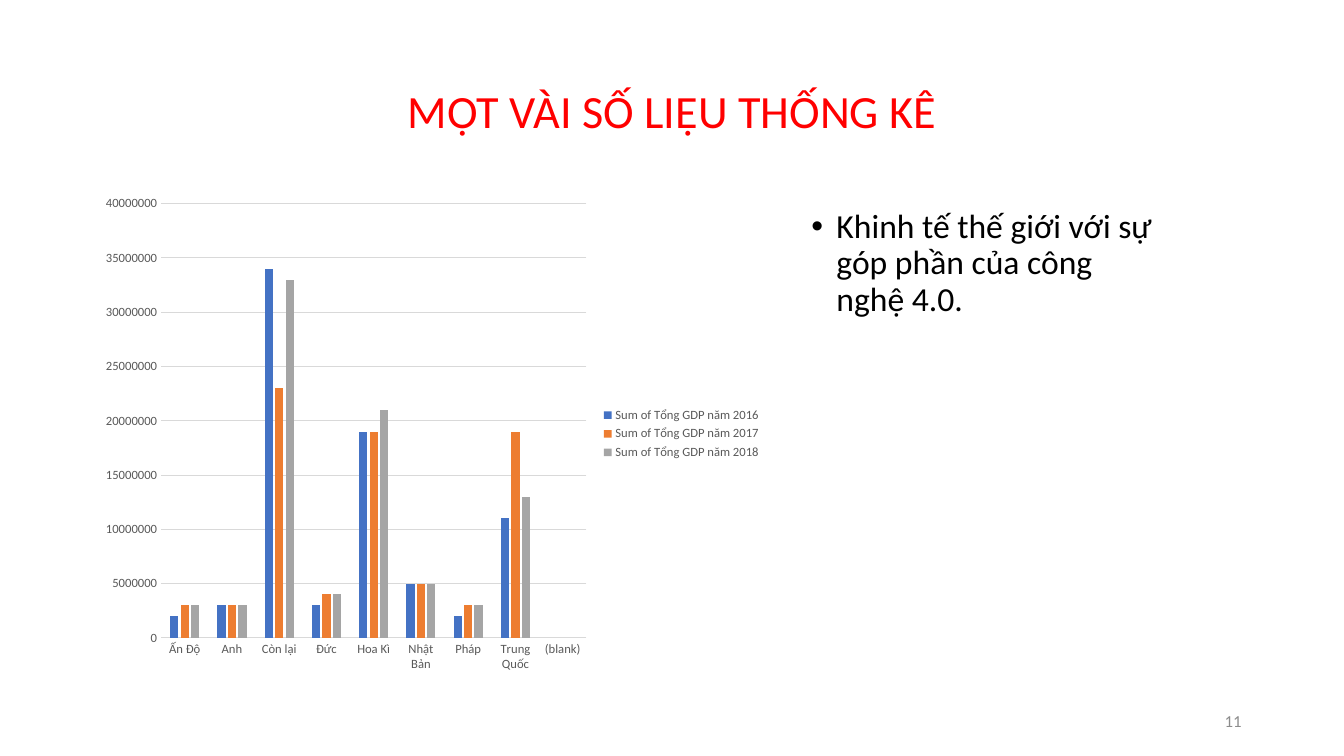
from lxml.etree import SubElement
from pptx import Presentation
from pptx.chart.data import CategoryChartData
from pptx.dml.color import RGBColor
from pptx.enum.chart import XL_CHART_TYPE as ChartType, XL_LEGEND_POSITION as LegendPosition
from pptx.enum.chart import XL_TICK_MARK as TickMark
from pptx.enum.text import MSO_ANCHOR as Anchor, PP_ALIGN as Align
from pptx.oxml.ns import qn
from pptx.util import Inches, Pt

COUNTRIES = ["Ấn Độ", "Anh", "Còn lại", "Đức", "Hoa Kì", "Nhật Bản", "Pháp",
             "Trung Quốc", "(blank)"]
# GDP by year, in millions: bar colour, then one value per country
GDP = {
    2016: ("4472C4", [2, 3, 34, 3, 19, 5, 2, 11, None]),
    2017: ("ED7D31", [3, 3, 23, 4, 19, 5, 3, 19, None]),
    2018: ("A5A5A5", [3, 3, 33, 4, 21, 5, 3, 13, None]),
}


def color(code):
    return RGBColor.from_string(code)


class Page:
    """One slide on a grid of 160 columns by 90 rows."""
    FONT, GREY, LINE = "Calibri", "595959", "D9D9D9"

    def __init__(self, deck):
        self.column = deck.slide_width / 160
        self.row = deck.slide_height / 90
        self.slide = deck.slides.add_slide(deck.slide_layouts[6])

    def place(self, left, top, width, height):
        return [round(left * self.column), round(top * self.row),
                round(width * self.column), round(height * self.row)]

    def style(self, font, size, code):
        font.name, font.size = self.FONT, Pt(size)
        font.color.rgb = color(code)

    def text(self, area, words, size, code, align=Align.LEFT, anchor=Anchor.MIDDLE):
        frame = self.slide.shapes.add_textbox(*self.place(*area)).text_frame
        frame.word_wrap, frame.vertical_anchor = True, anchor
        para = frame.paragraphs[0]
        para.text, para.alignment = words, align
        self.style(para.font, size, code)
        return para

    def bullet(self, area, words, size, code):
        para = self.text(area, words, size, code, anchor=Anchor.TOP)
        para.line_spacing, para.space_before = 0.9, Pt(10)
        props = para._p.get_or_add_pPr()
        props.set("marL", str(Inches(0.25)))
        props.set("indent", str(Inches(-0.25)))
        for tag, key, value in (("a:buFont", "typeface", "Arial"), ("a:buChar", "char", "•")):
            mark = SubElement(props, qn(tag))
            mark.set(key, value)
            props.insert_element_before(mark, "a:defRPr")

    def line(self, line_format):
        line_format.color.rgb = color(self.LINE)
        line_format.width = Pt(0.75)

    def columns(self, area, categories, series):
        data = CategoryChartData()
        data.categories = categories
        for year, (_, values) in series.items():
            data.add_series(f"Sum of Tổng GDP năm {year}",
                            [value and value * 1000000 for value in values])
        chart = self.slide.shapes.add_chart(
            ChartType.COLUMN_CLUSTERED, *self.place(*area), data).chart
        chart.has_title = False
        self.style(chart.font, 10, "000000")

        # Bars
        plot = chart.plots[0]
        plot.gap_width, plot.overlap, plot.vary_by_categories = 219, -27, False
        for bars, (code, _) in zip(plot.series, series.values()):
            bars.format.fill.solid()
            bars.format.fill.fore_color.rgb = color(code)

        # Axes and gridlines
        for axis in (chart.category_axis, chart.value_axis):
            axis.major_tick_mark = axis.minor_tick_mark = TickMark.NONE
            self.style(axis.tick_labels.font, 9, self.GREY)
        self.line(chart.category_axis.format.line)
        scale = chart.value_axis
        scale.minimum_scale, scale.maximum_scale, scale.major_unit = 0, 40000000, 5000000
        scale.format.line.fill.background()
        self.line(scale.major_gridlines.format.line)
        scale.tick_labels.number_format = "General"
        scale.tick_labels.number_format_is_linked = False

        # Legend
        chart.has_legend = True
        chart.legend.position = LegendPosition.RIGHT
        chart.legend.include_in_layout = False
        self.style(chart.legend.font, 9, self.GREY)


def main():
    deck = Presentation()
    deck.slide_width, deck.slide_height = Inches(13.33), Inches(7.5)
    page = Page(deck)

    # Title
    title = page.text((11, 4.8, 138, 17.4), "MỘT VÀI SỐ LIỆU THỐNG KÊ", 33, "FF0000",
                      Align.CENTER)
    title.line_spacing = 0.9

    # Chart and remark
    page.columns((11, 22.2, 80.8, 58.9), COUNTRIES, GDP)
    page.bullet((95.4, 24.35, 44.8, 20.6),
                "Khinh tế thế giới với sự góp phần của công nghệ 4.0.", 24, "000000")

    # Page number
    page.text((113, 83.4, 36, 4.8), "11", 12, "8C8C8C", Align.RIGHT)

    deck.save("out.pptx")


if __name__ == "__main__":
    main()
